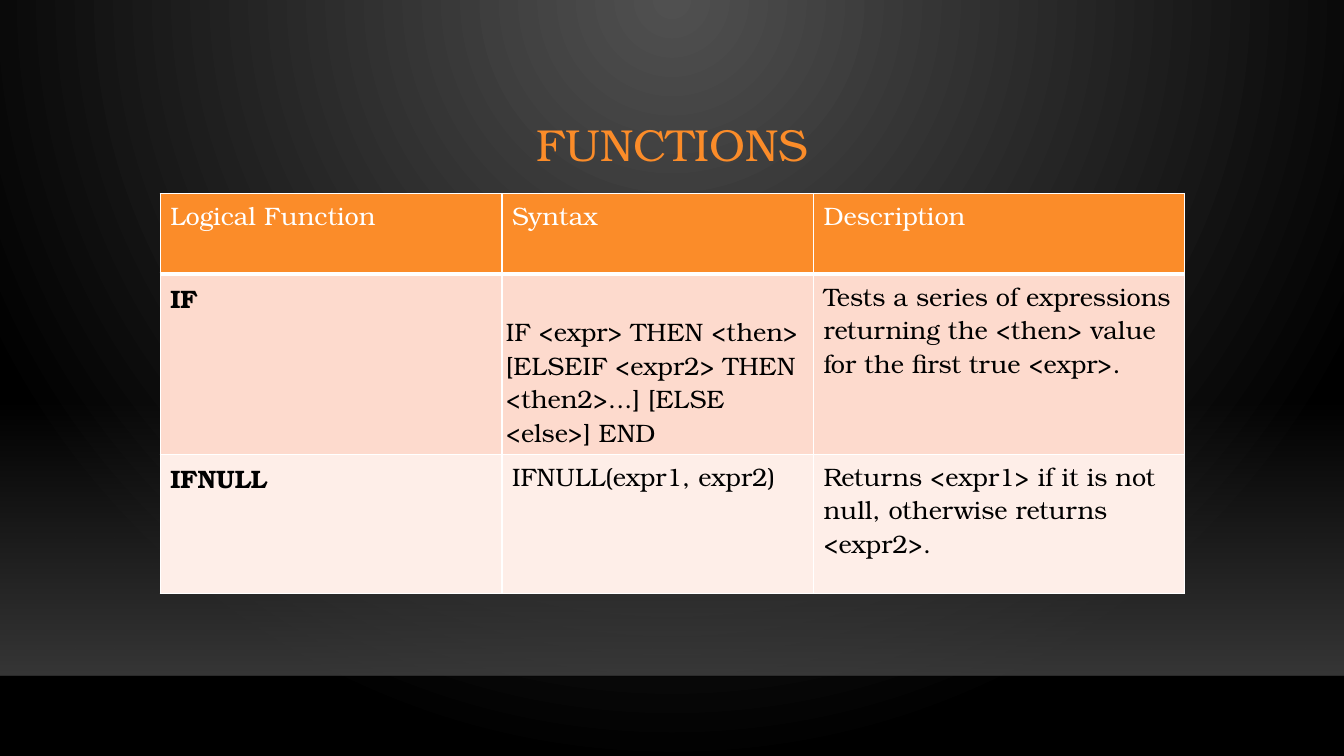
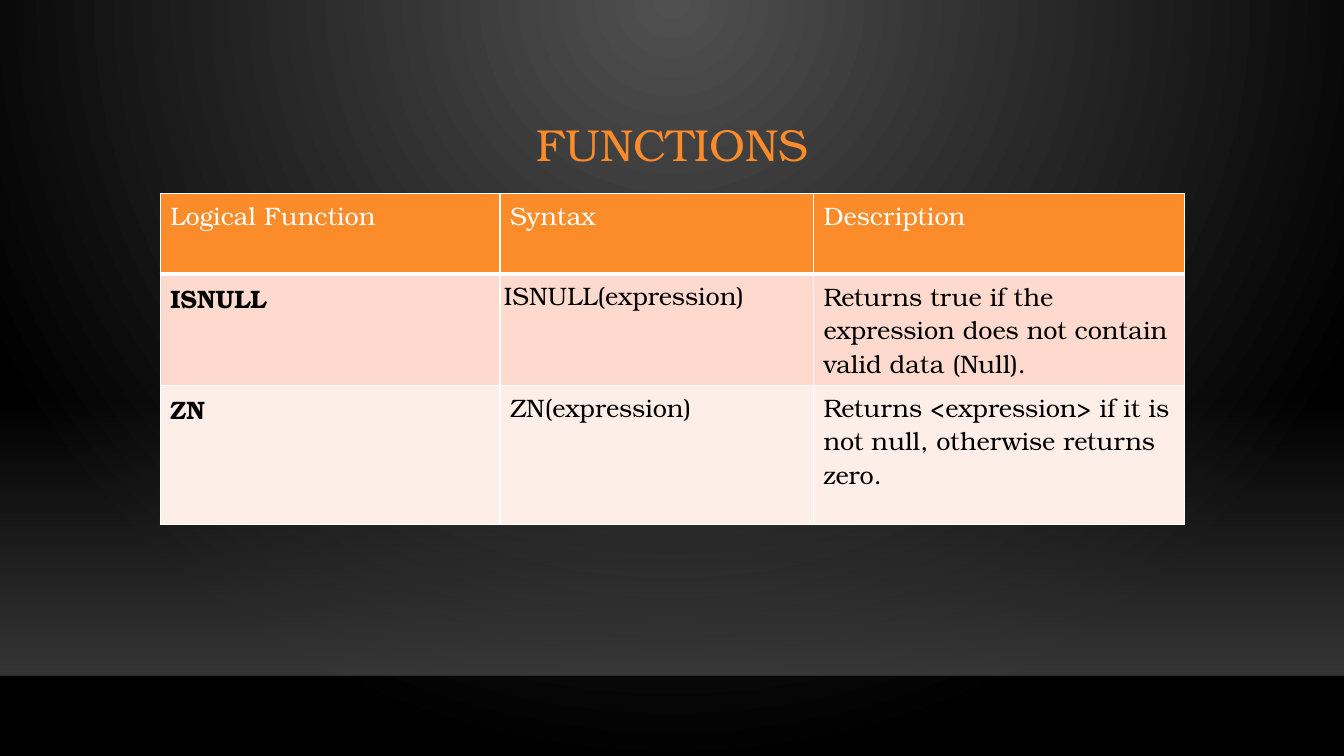
from lxml import etree
from pptx import Presentation
from pptx.dml.color import RGBColor
from pptx.enum.shapes import MSO_CONNECTOR, MSO_SHAPE
from pptx.enum.text import MSO_ANCHOR, MSO_AUTO_SIZE, PP_ALIGN
from pptx.oxml.ns import qn
from pptx.util import Cm, Pt

RECTANGLE = MSO_SHAPE.RECTANGLE
STRAIGHT = MSO_CONNECTOR.STRAIGHT
MIDDLE = MSO_ANCHOR.MIDDLE
NO_AUTOFIT = MSO_AUTO_SIZE.NONE
CENTER = PP_ALIGN.CENTER

# Shared style
ORANGE = RGBColor(0xFB, 0x8C, 0x29)
PEACH = RGBColor(0xFD, 0xDA, 0xCD)
PALE_PEACH = RGBColor(0xFE, 0xEE, 0xE8)
WHITE = RGBColor(0xFF, 0xFF, 0xFF)
BLACK = RGBColor(0, 0, 0)
GLOW_GRAY = RGBColor(0x50, 0x50, 0x50)
FLOOR_GRAY = RGBColor(0x45, 0x45, 0x45)
FONT = "TeX Gyre Bonum"
TITLE_ONLY = 5
SLIDE_WIDTH, SLIDE_HEIGHT = Cm(33.87), Cm(19.05)
CONTENT_LEFT, CONTENT_WIDTH = Cm(4.04), Cm(25.81)
ROW_FILLS = (ORANGE, PEACH, PALE_PEACH)
HEADINGS = ("Logical Function", "Syntax", "Description")


def set_opacity(color_element, percent):
    etree.SubElement(color_element, qn("a:alpha"), val=str(percent * 1000))


class Deck:
    def __init__(self):
        self.presentation = Presentation()
        self.presentation.slide_width = SLIDE_WIDTH
        self.presentation.slide_height = SLIDE_HEIGHT
        self.layout = self.presentation.slide_layouts[TITLE_ONLY]
        self.slide = None

    def start_slide(self):
        self.slide = self.presentation.slides.add_slide(self.layout)

    def gradient(self, fill, start, end):
        fill.gradient()
        for stop, color, position in zip(fill.gradient_stops, (start, end), (0, 1)):
            stop.color.rgb = color
            stop.position = position

    def background(self):
        self.gradient(self.layout.background.fill, GLOW_GRAY, BLACK)
        glow = self.layout.element.find(".//" + qn("a:gradFill"))
        glow.remove(glow.find(qn("a:lin")))
        circle = etree.SubElement(glow, qn("a:path"))
        circle.set("path", "circle")
        etree.SubElement(circle, qn("a:fillToRect"),
                         l="43000", t="0", r="43000", b="100000")

    def floor(self):
        """Draw the floor band and its edge, and hand them to the layout."""
        band = self.slide.shapes.add_shape(
            RECTANGLE, 0, Cm(10.06), SLIDE_WIDTH, Cm(6.97))
        band.shadow.inherit = False
        band.line.fill.background()
        self.gradient(band.fill, FLOOR_GRAY, FLOOR_GRAY)
        band.fill.gradient_angle = 270
        for color, percent in zip(band.element.iter(qn("a:srgbClr")), (0, 80)):
            set_opacity(color, percent)

        edge_top = Cm(17.03)
        edge = self.slide.shapes.add_connector(
            STRAIGHT, 0, edge_top, SLIDE_WIDTH, edge_top)
        edge.line.color.rgb = BLACK
        edge.line.width = Pt(1)
        set_opacity(edge.element.find(".//" + qn("a:srgbClr")), 20)
        etree.SubElement(edge.element.spPr, qn("a:effectLst"))

        for part in (band, edge):
            self.layout.shapes.element.append(part.element)

    def title(self, text):
        title = self.slide.shapes.title
        title.left, title.top = CONTENT_LEFT, Cm(2.24)
        title.width, title.height = CONTENT_WIDTH, Cm(2.92)
        frame = title.text_frame
        frame.text = text
        frame.auto_size = NO_AUTOFIT
        frame.vertical_anchor = MIDDLE
        paragraph = frame.paragraphs[0]
        paragraph.alignment = CENTER
        paragraph.line_spacing = 0.9
        self.font(paragraph, 32, ORANGE)

    def font(self, paragraph, size, color, bold=False):
        paragraph.font.name = FONT
        paragraph.font.size = Pt(size)
        paragraph.font.color.rgb = color
        paragraph.font.bold = bold

    def borders(self, cell, row):
        widths = {"a:lnL": 1, "a:lnR": 1,
                  "a:lnT": 3 if row == 1 else 1,
                  "a:lnB": 3 if row == 0 else 1}
        properties = cell._tc.get_or_add_tcPr()
        for side, width in widths.items():
            line = etree.SubElement(properties, qn(side), w=str(Pt(width)))
            fill = etree.SubElement(line, qn("a:solidFill"))
            etree.SubElement(fill, qn("a:srgbClr"), val=str(WHITE))

    def table(self, rows, widths, heights, syntax_top):
        table = self.slide.shapes.add_table(
            len(rows), len(widths), CONTENT_LEFT, Cm(4.88),
            CONTENT_WIDTH, Cm(sum(heights))).table
        for column, width in zip(table.columns, widths):
            column.width = Cm(width)
        for r, (texts, height) in enumerate(zip(rows, heights)):
            table.rows[r].height = Cm(height)
            for c, text in enumerate(texts):
                cell = table.cell(r, c)
                cell.text = text
                self.font(cell.text_frame.paragraphs[0], 18,
                          WHITE if r == 0 else BLACK, bold=r > 0 and c == 0)
                self.borders(cell, r)
                cell.fill.solid()
                cell.fill.fore_color.rgb = ROW_FILLS[r]
        # The first syntax cell has tighter margins
        syntax = table.cell(1, 1)
        syntax.margin_left = syntax.margin_right = syntax.margin_bottom = Cm(0.1)
        syntax.margin_top = Cm(syntax_top)


# Content: functions, column widths, row heights, top margin of first syntax
FUNCTION_TABLES = (
    ((("IF",
       "IF <expr> THEN <then> [ELSEIF <expr2> THEN <then2>...] [ELSE <else>] END",
       "Tests a series of expressions returning the <then> value "
       "for the first true <expr>."),
      ("IFNULL", "IFNULL(expr1, expr2)",
       "Returns <expr1> if it is not null, otherwise returns <expr2>.")),
     (8.61, 7.85, 9.35), (2.03, 4.54, 3.51), 1.02),
    ((("ISNULL", "ISNULL(expression)",
       "Returns true if the expression does not contain valid data (Null)."),
      ("ZN", "ZN(expression)",
       "Returns <expression> if it is not null, otherwise returns zero.")),
     (8.56, 7.9, 9.35), (2.03, 2.8, 3.51), 0.1),
)

deck = Deck()
for functions, widths, heights, syntax_top in FUNCTION_TABLES:
    deck.start_slide()
    deck.title("FUNCTIONS")
    deck.table((HEADINGS, *functions), widths, heights, syntax_top)

# Backdrop shared through the layout
deck.background()
deck.floor()

deck.presentation.save("out.pptx")
